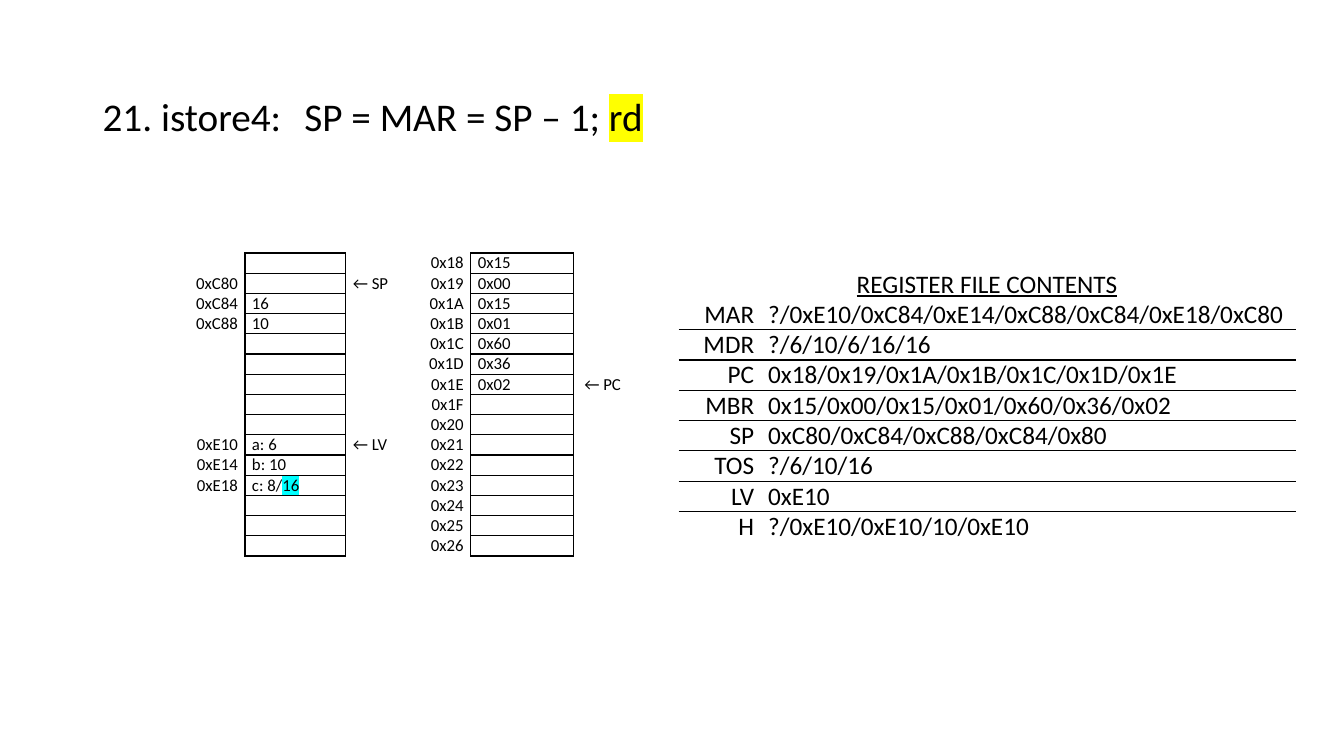
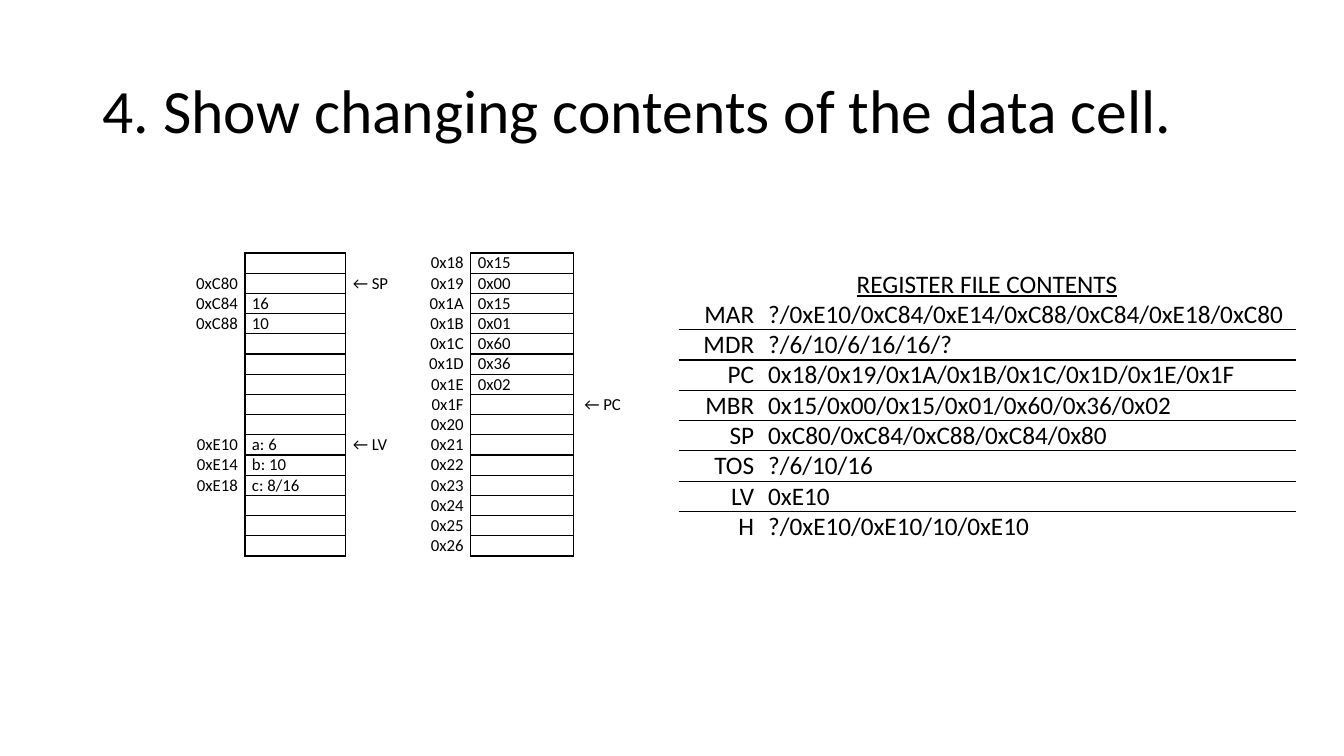
from dataclasses import dataclass
from typing import NamedTuple

from lxml.etree import SubElement
from pptx import Presentation
from pptx.dml.color import RGBColor
from pptx.enum.text import MSO_ANCHOR, PP_ALIGN
from pptx.oxml.ns import qn
from pptx.util import Inches, Pt

FONT = "Calibri"
BLACK = RGBColor(0x00, 0x00, 0x00)
YELLOW = RGBColor(0xFF, 0xFF, 0x00)
CYAN = RGBColor(0x00, 0xFF, 0xFF)
PLAIN_TABLE = "{2D5ABB26-0587-4C30-8999-92F81FD0307C}"
ALL_SIDES = ("L", "R", "T", "B")

STACK_START = 1
LOCALS_START = 9
CODE_BASE = 0x18
MEMORY_ROWS = 15
BYTECODE = ("0x15", "0x00", "0x15", "0x01", "0x60", "0x36", "0x02")
MEMORY_WIDTHS = (0.57, 1, 0.62, 0.62, 1.02, 1.02)
REGISTER_WIDTHS = (0.82, 5.3)


class Span(NamedTuple):
    text: str
    highlight: RGBColor | None = None


Spans = tuple[Span, ...]


@dataclass(frozen=True)
class Step:
    title: Spans
    title_top: float
    title_height: float
    title_size: int
    local_c: Spans
    pc: int
    mdr: str
    pc_history: str


STEPS = (
    Step(
        title=(Span("21. istore4:\tSP = MAR = SP – 1; "), Span("rd", YELLOW)),
        title_top=0.92, title_height=0.51, title_size=28,
        local_c=(Span("c: 8/"), Span("16", CYAN)),
        pc=0x1E,
        mdr="?/6/10/6/16/16",
        pc_history="0x18/0x19/0x1A/0x1B/0x1C/0x1D/0x1E",
    ),
    Step(
        title=(Span("4. Show changing contents of the data cell."),),
        title_top=0.4, title_height=1.45, title_size=44,
        local_c=(Span("c: 8/16"),),
        pc=0x1F,
        mdr="?/6/10/6/16/16/?",
        pc_history="0x18/0x19/0x1A/0x1B/0x1C/0x1D/0x1E/0x1F",
    ),
)


def write(paragraph, spans: Spans, size: int, align=PP_ALIGN.LEFT) -> None:
    paragraph.alignment = align
    font = paragraph.font
    font.name, font.size, font.color.rgb = FONT, Pt(size), BLACK
    for span in spans:
        run = paragraph.add_run()
        run.text = span.text
        if span.highlight is not None:
            highlight = SubElement(run._r.get_or_add_rPr(), qn("a:highlight"))
            SubElement(highlight, qn("a:srgbClr"), val=str(span.highlight))
    if not spans:
        paragraph._p.get_or_add_endParaRPr().set("sz", str(size * 100))


def add_title(slide, step: Step) -> None:
    box = slide.shapes.add_textbox(
        Inches(0.92), Inches(step.title_top), Inches(11.5), Inches(step.title_height))
    frame = box.text_frame
    frame.word_wrap = True
    frame.vertical_anchor = MSO_ANCHOR.MIDDLE
    paragraph = frame.paragraphs[0]
    paragraph.line_spacing = 0.9
    write(paragraph, step.title, step.title_size)


def add_plain_table(slide, left: float, top: float, widths: tuple[float, ...],
                    rows: int, row_height: float):
    frame = slide.shapes.add_table(
        rows, len(widths), Inches(left), Inches(top),
        Inches(sum(widths)), Inches(rows * row_height))
    table = frame.table
    table.first_row = table.horz_banding = False
    table._tbl.tblPr.find(qn("a:tableStyleId")).text = PLAIN_TABLE
    for column, width in zip(table.columns, widths):
        column.width = Inches(width)
    return table


def fill_cell(cell, spans: Spans, size: int, align=PP_ALIGN.LEFT,
              sides: tuple[str, ...] = ()) -> None:
    cell.margin_left = cell.margin_right = Inches(0.07)
    cell.margin_top = cell.margin_bottom = 0
    properties = cell._tc.get_or_add_tcPr()
    for side in sides:
        line = SubElement(properties, qn(f"a:ln{side}"), w=str(Pt(1)))
        SubElement(SubElement(line, qn("a:solidFill")), qn("a:srgbClr"), val=str(BLACK))
    cell.fill.background()
    write(cell.text_frame.paragraphs[0], spans, size, align)


def add_memory(slide, step: Step) -> None:
    addresses = {STACK_START + i: f"0x{0xC80 + 4 * i:X}" for i in range(3)}
    addresses |= {LOCALS_START + i: f"0x{0xE10 + 4 * i:X}" for i in range(3)}
    data = {
        STACK_START + 1: (Span("16"),),
        STACK_START + 2: (Span("10"),),
        LOCALS_START: (Span("a: 6"),),
        LOCALS_START + 1: (Span("b: 10"),),
        LOCALS_START + 2: step.local_c,
    }
    pointers = {STACK_START: "← SP", LOCALS_START: "← LV"}
    code = dict(enumerate(BYTECODE))
    counter = {step.pc - CODE_BASE: " ← PC"}

    def label(labels: dict[int, str], row: int) -> Spans:
        return (Span(labels[row]),) if row in labels else ()

    table = add_plain_table(slide, 1.86, 2.51, MEMORY_WIDTHS, MEMORY_ROWS, 0.2)
    for row in range(MEMORY_ROWS):
        contents = (
            label(addresses, row), data.get(row, ()), label(pointers, row),
            (Span(f"0x{CODE_BASE + row:X}"),), label(code, row), label(counter, row),
        )
        for column, spans in enumerate(contents):
            fill_cell(
                table.cell(row, column), spans, 12,
                PP_ALIGN.RIGHT if column in (0, 3) else PP_ALIGN.LEFT,
                ALL_SIDES if column in (1, 4) else ())


def add_registers(slide, step: Step) -> None:
    registers = (
        ("MAR", "?/0xE10/0xC84/0xE14/0xC88/0xC84/0xE18/0xC80"),
        ("MDR", step.mdr),
        ("PC", step.pc_history),
        ("MBR", "0x15/0x00/0x15/0x01/0x60/0x36/0x02"),
        ("SP", "0xC80/0xC84/0xC88/0xC84/0x80"),
        ("TOS", "?/6/10/16"),
        ("LV", "0xE10"),
        ("H", "?/0xE10/0xE10/10/0xE10"),
    )
    table = add_plain_table(slide, 6.73, 2.67, REGISTER_WIDTHS, len(registers) + 1, 0.3)
    heading = table.cell(0, 0)
    heading.merge(table.cell(0, 1))
    fill_cell(heading, (Span("REGISTER FILE CONTENTS"),), 18, PP_ALIGN.CENTER)
    heading.text_frame.paragraphs[0].font.underline = True
    for row, (register, history) in enumerate(registers, start=1):
        sides = ("B",) if row < len(registers) else ()
        fill_cell(table.cell(row, 0), (Span(register),), 18, PP_ALIGN.RIGHT, sides)
        fill_cell(table.cell(row, 1), (Span(history),), 18, sides=sides)


def main() -> None:
    presentation = Presentation()
    presentation.slide_width = Inches(13.33)
    presentation.slide_height = Inches(7.5)
    for step in STEPS:
        slide = presentation.slides.add_slide(presentation.slide_layouts[6])
        add_title(slide, step)
        add_memory(slide, step)
        add_registers(slide, step)
    presentation.save("out.pptx")


if __name__ == "__main__":
    main()
